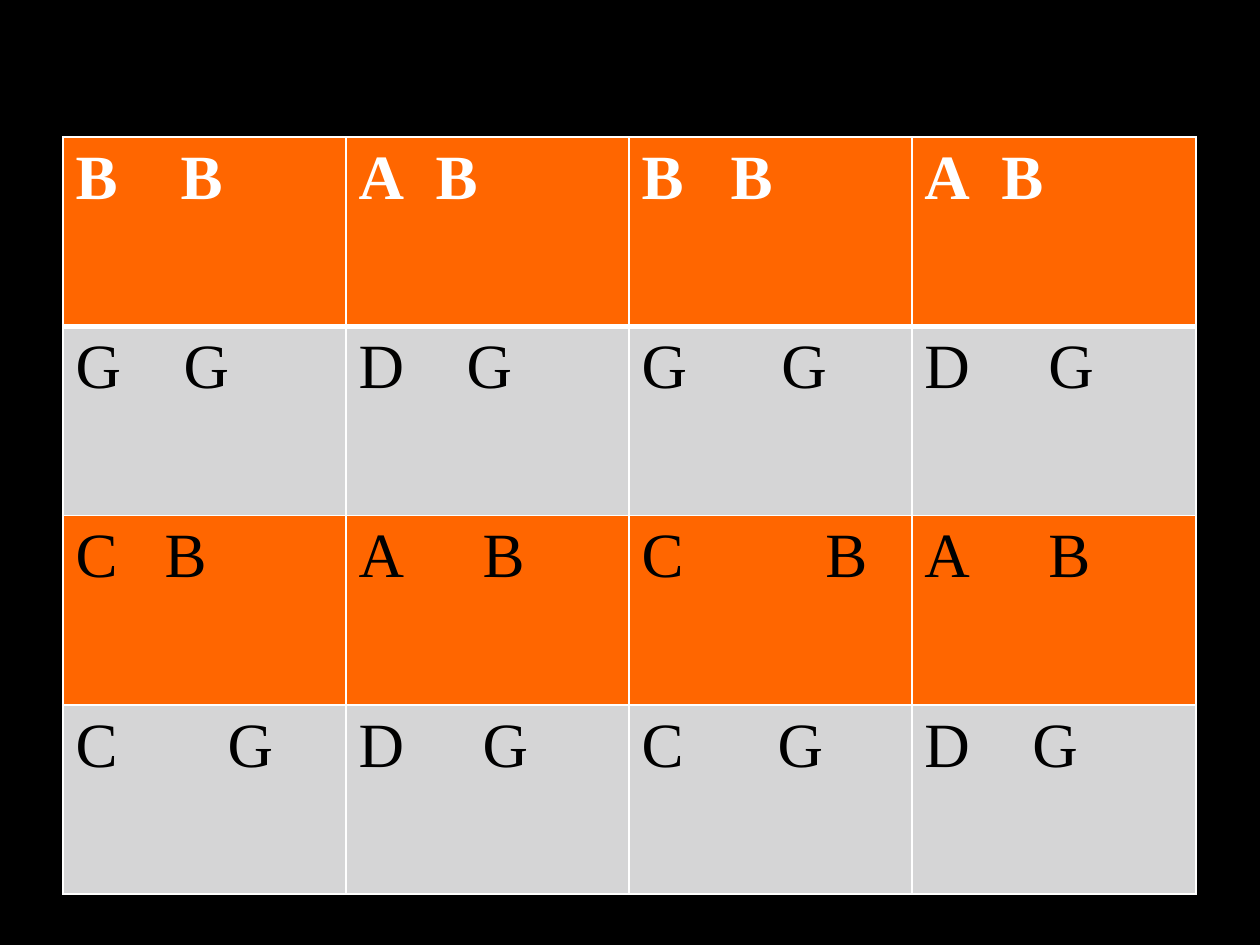
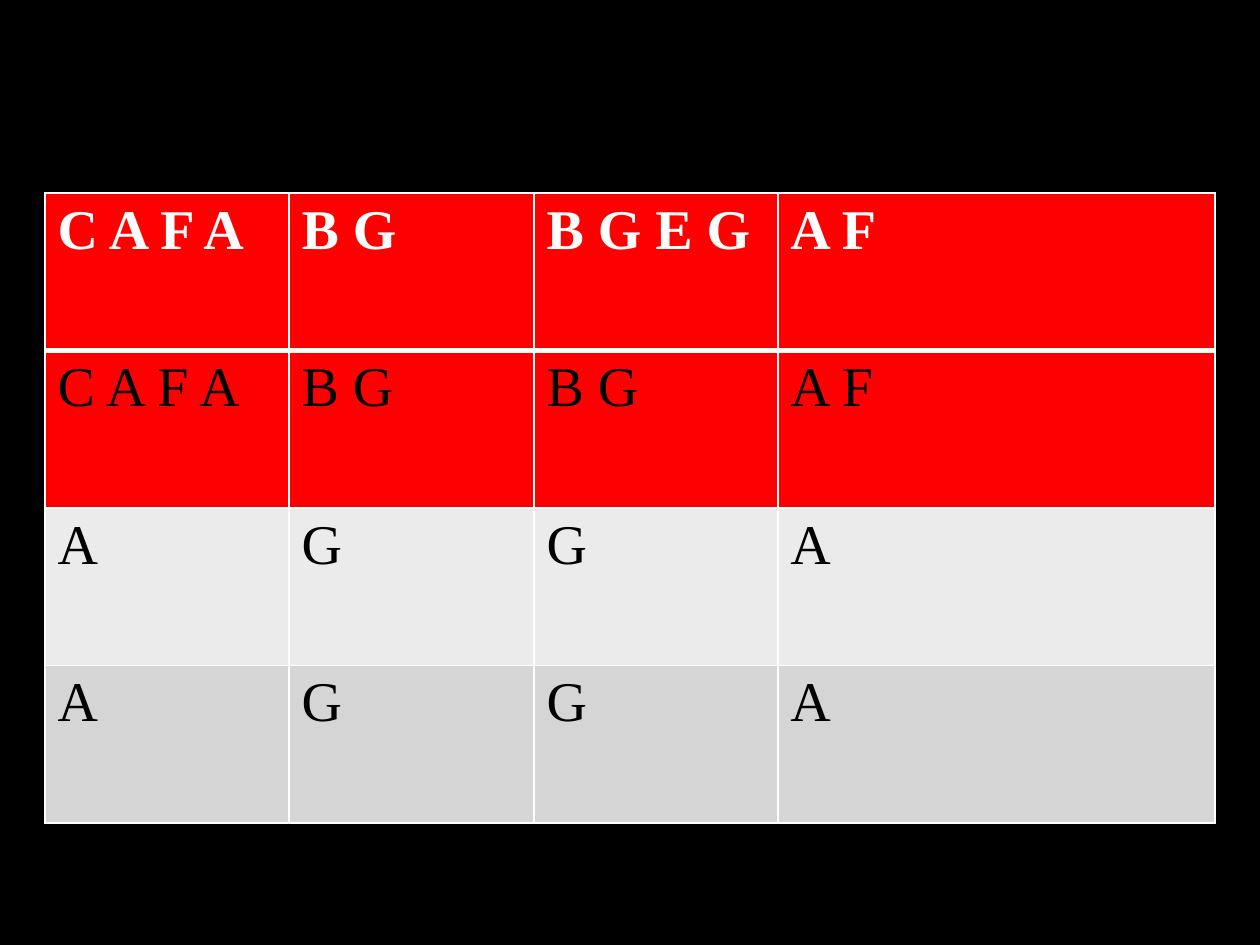
from lxml.etree import SubElement
from pptx import Presentation
from pptx.dml.color import RGBColor
from pptx.oxml.ns import qn
from pptx.util import Emu, Pt

BLACK = RGBColor(0x00, 0x00, 0x00)
WHITE = RGBColor(0xFF, 0xFF, 0xFF)
ORANGE = RGBColor(0xFF, 0x66, 0x00)
RED = RGBColor(0xFF, 0x00, 0x00)
GRAY = RGBColor(0xD5, 0xD5, 0xD6)
PALE_GRAY = RGBColor(0xEB, 0xEB, 0xEB)

FONT = "Times New Roman"
THIN_LINE, HEADER_LINE = 1, 3

CHORD_CHARTS = [
    {
        "corner": (63, 137),
        "widths": [283, 283, 283, 284],
        "height": 757,
        "size": 36,
        "fills": [ORANGE, GRAY, ORANGE, GRAY],
        "rows": [
            ["B\tB", "A\tB", "B\tB", "A\tB"],
            ["G\tG", "D\tG", "G\tG", "D\tG"],
            ["C\tB", "A\tB", "C\tB", "A\tB"],
            ["C\tG", "D\tG", "C\tG", "D\tG"],
        ],
        "tabs": [
            [105, 77, 89, 77],
            [108, 108, 140, 124],
            [89, 124, 184, 124],
            [152, 124, 136, 108],
        ],
    },
    {
        "corner": (45, 193),
        "widths": [244, 245, 244, 437],
        "height": 630,
        "size": 32,
        "fills": [RED, RED, PALE_GRAY, GRAY],
        "rows": [
            ["C A F A", "B G", "B G E G", "A F"],
            ["C A F A", "B G", "B G", "A F"],
            ["A", "G", "G", "A"],
            ["A", "G", "G", "A"],
        ],
    },
]


def px(pixels):
    return Emu(round(pixels * 914400 / 126))


def add_borders(cell, row_index):
    heavy_side = {0: "lnB", 1: "lnT"}.get(row_index)
    properties = cell._tc.get_or_add_tcPr()
    for side in ("lnL", "lnR", "lnT", "lnB"):
        points = HEADER_LINE if side == heavy_side else THIN_LINE
        line = SubElement(properties, qn(f"a:{side}"), w=str(Pt(points)))
        fill = SubElement(line, qn("a:solidFill"))
        SubElement(fill, qn("a:srgbClr"), val=str(WHITE))


def add_tab_stop(para, position):
    properties = para._p.get_or_add_pPr()
    stops = SubElement(properties, qn("a:tabLst"))
    SubElement(stops, qn("a:tab"), pos=str(px(position)), algn="l")


def format_text(para, size, is_header):
    para.font.name = FONT
    para.font.size = Pt(size)
    para.font.bold = is_header
    para.font.color.rgb = WHITE if is_header else BLACK


def add_chord_table(page, chart):
    rows, widths = chart["rows"], chart["widths"]
    left, top = chart["corner"]
    frame = page.shapes.add_table(
        len(rows), len(widths), px(left), px(top), px(sum(widths)), px(chart["height"])
    )
    table = frame.table
    for column, width in zip(table.columns, widths):
        column.width = px(width)
    for row_index, chords in enumerate(rows):
        table.rows[row_index].height = px(chart["height"] / len(rows))
        for column_index, chord in enumerate(chords):
            cell = table.cell(row_index, column_index)
            add_borders(cell, row_index)
            cell.fill.solid()
            cell.fill.fore_color.rgb = chart["fills"][row_index]
            para = cell.text_frame.paragraphs[0]
            para.add_run().text = chord
            if "tabs" in chart:
                add_tab_stop(para, chart["tabs"][row_index][column_index])
            format_text(para, chart["size"], row_index == 0)


deck = Presentation()
deck.slide_width, deck.slide_height = px(1260), px(945)
background = deck.slide_master.background.fill
background.solid()
background.fore_color.rgb = BLACK

for chart in CHORD_CHARTS:
    add_chord_table(deck.slides.add_slide(deck.slide_layouts[6]), chart)

deck.save("out.pptx")
